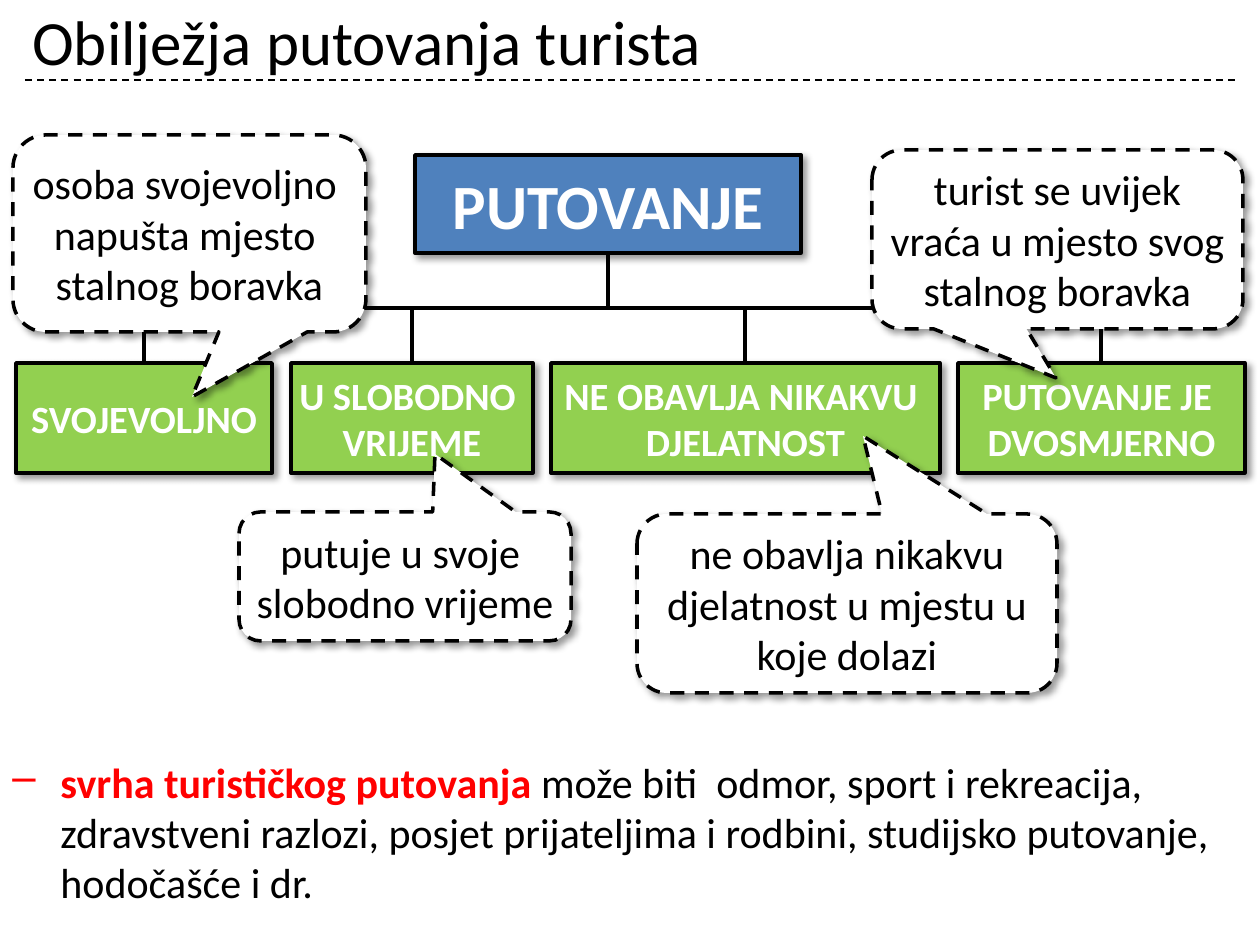
from lxml.etree import SubElement
from pptx import Presentation
from pptx.dml.color import RGBColor
from pptx.enum.dml import MSO_LINE as DASH
from pptx.enum.shapes import MSO_CONNECTOR as CONN, MSO_SHAPE as SHAPE
from pptx.enum.text import MSO_ANCHOR as ANCHOR, PP_ALIGN as ALIGN
from pptx.oxml.ns import qn
from pptx.util import Pt

PX = 914400 / 126
FONT = "Calibri"
BLACK, WHITE, RED, BLUE, GREEN = "000000", "FFFFFF", "FF0000", "4F81BD", "92D050"

TITLE = "Obilježja putovanja turista"
ROOT = "PUTOVANJE"
ROOT_BOX = (415, 155, 386, 98)
BRANCH_TOP, BRANCH_HEIGHT = 363, 110
BRANCHES = [
    (16, 256, ["SVOJEVOLJNO"]),
    (291, 242, ["U SLOBODNO ", "VRIJEME"]),
    (551, 389, ["NE OBAVLJA NIKAKVU ", "DJELATNOST"]),
    (958, 287, ["PUTOVANJE JE ", "DVOSMJERNO"]),
]
CALLOUTS = [
    ((13, 135, 353, 197), (192, 397),
     ["osoba svojevoljno ", "napušta mjesto ", "stalnog boravka"]),
    ((239, 512, 332, 129), (435, 454),
     ["putuje u svoje ", "slobodno vrijeme"]),
    ((637, 514, 420, 179), (863, 436),
     ["ne obavlja nikakvu djelatnost u mjestu u koje dolazi"]),
    ((872, 150, 371, 179), (1056, 378),
     ["turist se uvijek vraća u mjesto svog stalnog boravka"]),
]
PURPOSE = [
    ("svrha turističkog putovanja ", RED, True),
    ("može biti  odmor, sport i rekreacija, zdravstveni razlozi, posjet "
     "prijateljima i rodbini, studijsko putovanje, hodočašće i dr.", BLACK, False),
]


def px(n):
    return round(n * PX)


def rgb(color):
    return RGBColor.from_string(color)


def add_run(p, text, size, color, bold=False):
    r = p.add_run()
    r.text = text
    r.font.name, r.font.size, r.font.bold = FONT, Pt(size), bold
    r.font.color.rgb = rgb(color)


def add_text_box(box, anchor):
    tf = s.shapes.add_textbox(*map(px, box)).text_frame
    tf.word_wrap = True
    tf.vertical_anchor = anchor
    return tf.paragraphs[0]


def add_box(kind, box, fill, lines, size, color, bold=False):
    sp = s.shapes.add_shape(kind, *map(px, box))
    sp.fill.solid()
    sp.fill.fore_color.rgb = rgb(fill)
    sp.line.color.rgb = rgb(BLACK)
    sp.line.width = Pt(2)
    sp.shadow.inherit = False
    effects = sp._element.spPr.find(qn("a:effectLst"))
    shadow = SubElement(effects, qn("a:outerShdw"), blurRad=str(Pt(4)),
                        dist=str(Pt(3)), dir="2700000", algn="tl", rotWithShape="0")
    tint = SubElement(shadow, qn("a:srgbClr"), val=BLACK)
    SubElement(tint, qn("a:alpha"), val="40000")
    tf = sp.text_frame
    tf.word_wrap = True
    tf.vertical_anchor = ANCHOR.MIDDLE
    for i, line in enumerate(lines):
        p = tf.add_paragraph() if i else tf.paragraphs[0]
        p.alignment = ALIGN.CENTER
        add_run(p, line, size, color, bold)
    return sp


def add_line(kind, start, end, width):
    c = s.shapes.add_connector(kind, *start, *end)
    c.line.color.rgb = rgb(BLACK)
    c.line.width = Pt(width)
    SubElement(c._element.spPr, qn("a:effectLst"))
    return c


def add_branch_line(root, branch):
    x1, y1 = root.left + root.width // 2, root.top + root.height
    x2, y2 = branch.left + branch.width // 2, branch.top
    c = add_line(CONN.ELBOW, (x1, y1), (x2, y2), 2.25)
    c.begin_connect(root, 2)
    c.end_connect(branch, 0)
    drop, run = y2 - y1, abs(x2 - x1)
    c.left, c.top = (x1 + x2 - drop) // 2, (y1 + y2 - run) // 2
    c.width, c.height = drop, run
    xfrm = c._element.spPr.find(qn("a:xfrm"))
    for flip in ("flipH", "flipV"):
        xfrm.attrib.pop(flip, None)
    if x2 < x1:
        xfrm.set("rot", "5400000")
    else:
        xfrm.set("rot", "16200000")
        xfrm.set("flipH", "1")


def add_callout(box, tip, lines):
    sp = add_box(SHAPE.ROUNDED_RECTANGULAR_CALLOUT, box, WHITE, lines, 24, BLACK)
    sp.line.dash_style = DASH.DASH
    x, y, w, h = box
    sp.adjustments[0] = (tip[0] - x) / w - 0.5
    sp.adjustments[1] = (tip[1] - y) / h - 0.5
    tf = sp.text_frame
    tf.margin_left = tf.margin_right = tf.margin_top = tf.margin_bottom = px(5)


prs = Presentation()
prs.slide_width, prs.slide_height = px(1260), px(945)
s = prs.slides.add_slide(prs.slide_layouts[6])

rule = add_line(CONN.STRAIGHT, (px(25), px(80)), (px(1235), px(80)), 1)
rule.line.dash_style = DASH.DASH
add_run(add_text_box((20, -4, 1221, 88), ANCHOR.MIDDLE), TITLE, 36, BLACK)

root = add_box(SHAPE.RECTANGLE, ROOT_BOX, BLUE, [ROOT], 36, WHITE, True)
branches = []
for left, width, lines in BRANCHES:
    box = (left, BRANCH_TOP, width, BRANCH_HEIGHT)
    sp = add_box(SHAPE.RECTANGLE, box, GREEN, lines, 22, WHITE, True)
    sp.text_frame.word_wrap = False
    branches.append(sp)
for sp in branches:
    add_branch_line(root, sp)
for callout in CALLOUTS:
    add_callout(*callout)

p = add_text_box((0, 750, 1260, 175), ANCHOR.TOP)
p.space_before = Pt(18)
pPr = p._p.get_or_add_pPr()
pPr.set("marL", str(px(48)))
pPr.set("indent", str(px(-48)))
SubElement(pPr, qn("a:buChar"), char="–")
for text, color, bold in PURPOSE:
    add_run(p, text, 24, color, bold)

prs.save("out.pptx")
